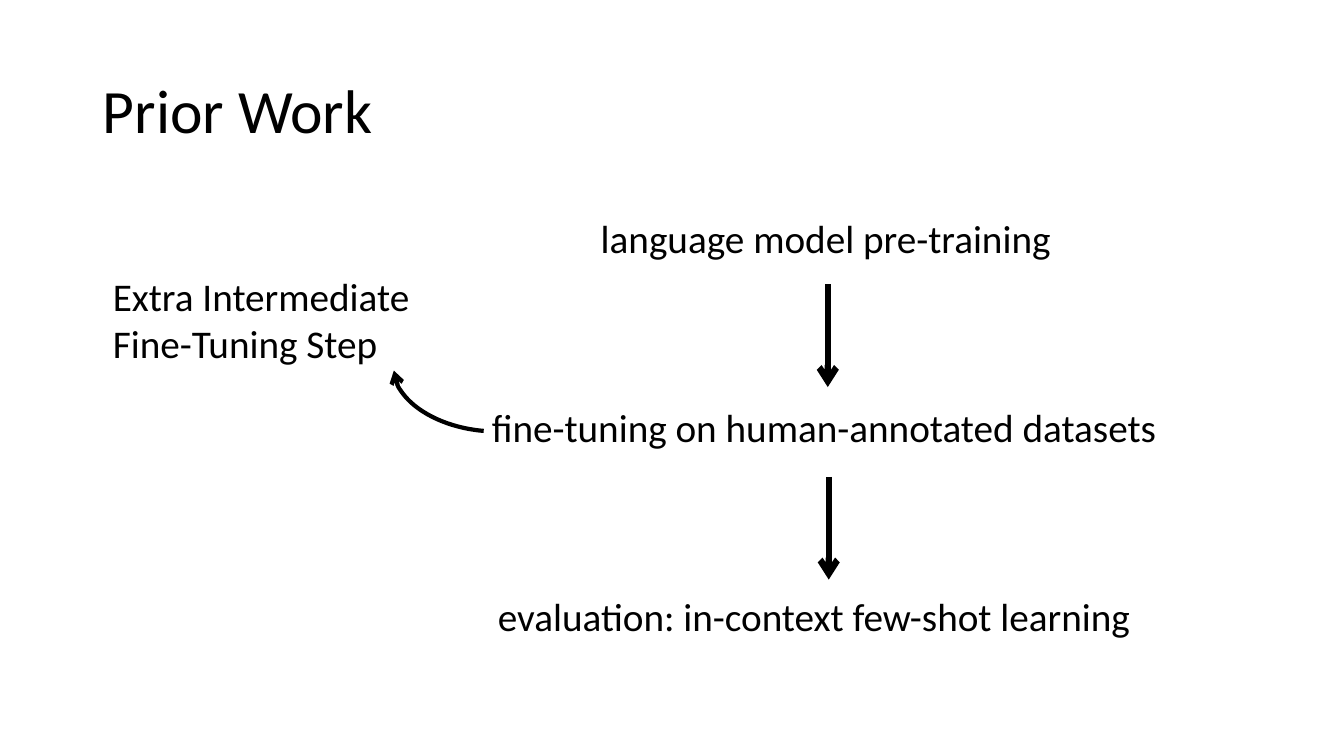
from lxml import etree
from pptx import Presentation
from pptx.dml.color import RGBColor
from pptx.enum.shapes import MSO_CONNECTOR, MSO_SHAPE
from pptx.enum.text import MSO_ANCHOR, MSO_AUTO_SIZE, PP_ALIGN
from pptx.oxml.ns import qn
from pptx.util import Inches, Pt

BLACK = "000000"


def color(hex_code):
    return RGBColor.from_string(hex_code)


def set_font(paragraph, size):
    font = paragraph.font
    font.name = "Calibri"
    font.size = Pt(size)
    font.color.rgb = color(BLACK)


def set_line(shape, width):
    """Style the line and put an open arrowhead at its end."""
    shape.line.color.rgb = color(BLACK)
    shape.line.width = Pt(width)
    line = shape.line._get_or_add_ln()
    etree.SubElement(line, qn("a:tailEnd"), type="arrow")


def add_title(slide, text):
    title = slide.shapes.title
    title.left, title.top = Inches(0.92), Inches(0.4)
    title.width, title.height = Inches(11.5), Inches(1.45)
    frame = title.text_frame
    frame.text = text
    frame.vertical_anchor = MSO_ANCHOR.MIDDLE
    heading = frame.paragraphs[0]
    heading.alignment = PP_ALIGN.LEFT
    heading.line_spacing = 0.9
    set_font(heading, 44)


def add_label(slide, text, left, top, width, height=0.57, wrap=False):
    box = slide.shapes.add_textbox(
        Inches(left), Inches(top), Inches(width), Inches(height))
    frame = box.text_frame
    frame.text = text
    frame.word_wrap = wrap
    frame.auto_size = MSO_AUTO_SIZE.SHAPE_TO_FIT_TEXT
    set_font(frame.paragraphs[0], 28)


def add_arrow(slide, x, top, length=1.02):
    arrow = slide.shapes.add_connector(
        MSO_CONNECTOR.STRAIGHT,
        Inches(x), Inches(top), Inches(x), Inches(top + length))
    set_line(arrow, 4.5)
    etree.SubElement(arrow._element.spPr, qn("a:effectLst"))


def add_curve(slide):
    """Add the arc that leads from fine-tuning to the side note."""
    arc = slide.shapes.add_shape(
        MSO_SHAPE.ARC, Inches(3.9), Inches(3.21), Inches(1.77), Inches(1.06))
    arc.adjustments[0] = 156.44
    arc.adjustments[1] = 213.71
    arc.rotation = 188
    arc.fill.background()
    set_line(arc, 3)
    arc.shadow.inherit = False


def main():
    deck = Presentation()
    deck.slide_width, deck.slide_height = Inches(13.33), Inches(7.5)
    slide = deck.slides.add_slide(deck.slide_layouts[5])

    add_title(slide, "Prior Work")
    steps = [
        ("language model pre-training", 5.86, 2.08, 4.71),
        ("fine-tuning on human-annotated datasets", 4.78, 3.95, 6.87),
        ("evaluation: in-context few-shot learning", 4.84, 5.83, 6.75),
    ]
    for step in steps:
        add_label(slide, *step)
    for x, top in [(8.21, 2.82), (8.22, 4.73)]:
        add_arrow(slide, x, top)
    add_curve(slide)
    add_label(slide, "Extra Intermediate Fine-Tuning Step",
              1.02, 2.65, 3.82, 1.04, wrap=True)

    deck.save("out.pptx")


if __name__ == "__main__":
    main()
